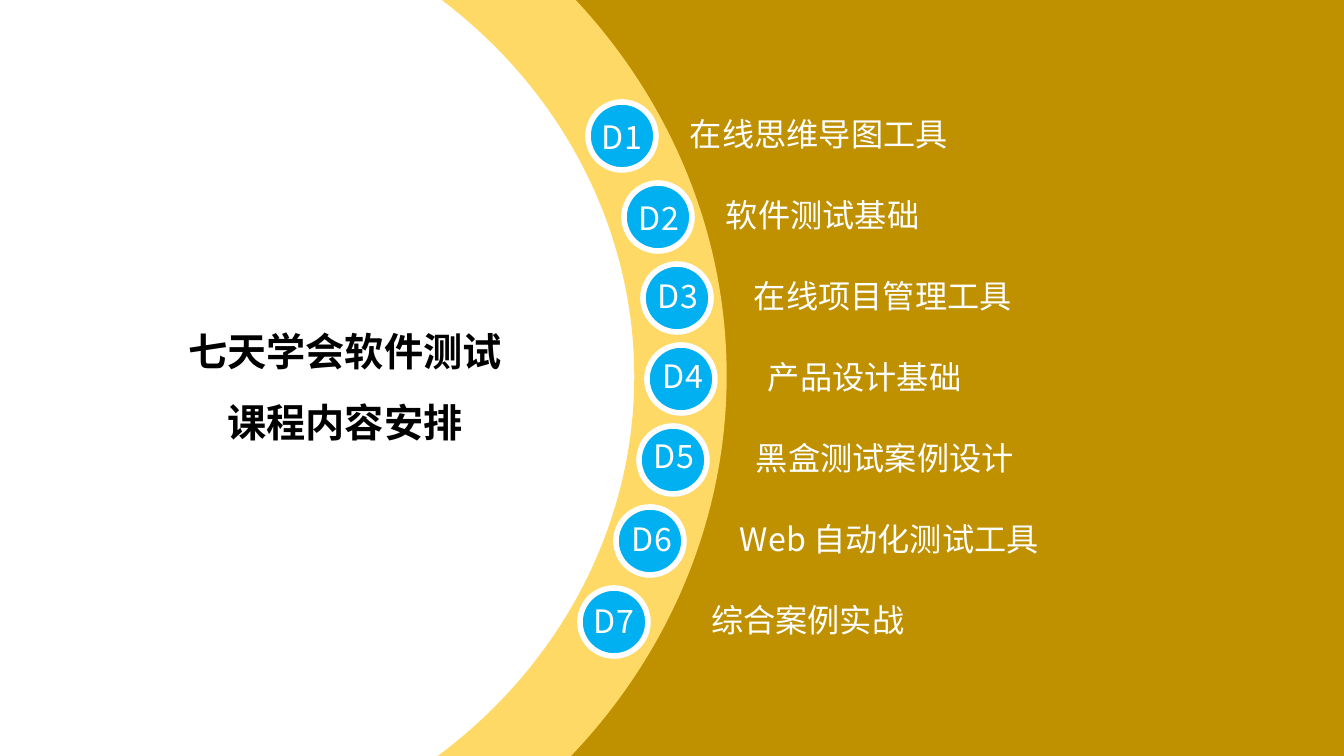
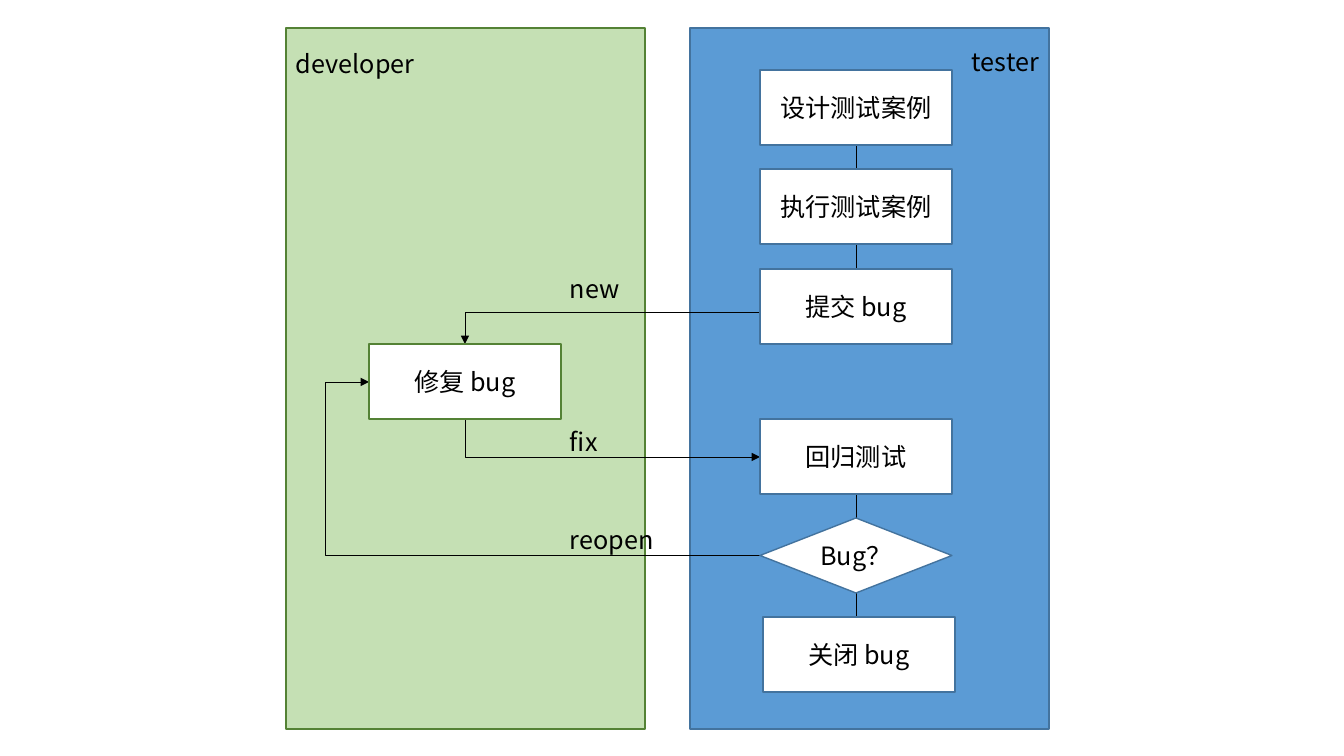
from lxml import etree
from pptx import Presentation
from pptx.dml.color import RGBColor
from pptx.enum.shapes import MSO_CONNECTOR, MSO_SHAPE
from pptx.enum.text import MSO_ANCHOR, PP_ALIGN
from pptx.oxml.ns import qn
from pptx.util import Pt

PX = 9072  # EMU in one px
FONT = "Noto Sans CJK SC"
OVAL, RECT, GEM = MSO_SHAPE.OVAL, MSO_SHAPE.RECTANGLE, MSO_SHAPE.DIAMOND
LINE, BENT = MSO_CONNECTOR.STRAIGHT, MSO_CONNECTOR.ELBOW
LEFT, MID, RIGHT = PP_ALIGN.LEFT, PP_ALIGN.CENTER, PP_ALIGN.RIGHT
TOP, CORE = MSO_ANCHOR.TOP, MSO_ANCHOR.MIDDLE
GOLD, SAND, CYAN = "BF9000", "FFD966", "00B0F0"
GREEN, MOSS, BLUE, NAVY = "C5E0B4", "548235", "5B9BD5", "43739E"
WHITE, BLACK = "FFFFFF", "000000"
hue = RGBColor.from_string


def put(slide, kind, box, fill, edge=None, width=1):
    """Add a preset shape; box is left, top, width, height in px."""
    shape = slide.shapes.add_shape(kind, *[n * PX for n in box])
    shape.shadow.inherit = False
    shape.fill.solid()
    shape.fill.fore_color.rgb = hue(fill)
    if edge:
        shape.line.color.rgb = hue(edge)
        shape.line.width = Pt(width)
    else:
        shape.line.fill.background()
    return shape


def write(shape, lines, size, tone, align=LEFT, anchor=CORE, space=1.0,
          pad=(10, 5, 10, 5), bold=False):
    """Fill a shape with one paragraph for each line."""
    frame = shape.text_frame
    frame.word_wrap = True
    frame.vertical_anchor = anchor
    frame.margin_left, frame.margin_top, frame.margin_right, frame.margin_bottom = [
        n * PX for n in pad]
    for i, line in enumerate(lines):
        para = frame.add_paragraph() if i else frame.paragraphs[0]
        para.alignment = align
        para.line_spacing = space
        para.space_before = Pt(0)
        run = para.add_run()
        run.text = line
        run.font.size = Pt(size)
        run.font.bold = bold
        run.font.color.rgb = hue(tone)
        run.font.name = FONT
        etree.SubElement(run.font._element, qn("a:ea"), typeface=FONT)


deck = Presentation()
deck.slide_width, deck.slide_height = 1344 * PX, 756 * PX
pages = []
for layout, back in ((5, GOLD), (6, WHITE)):
    page = deck.slides.add_slide(deck.slide_layouts[layout])
    page.background.fill.solid()
    page.background.fill.fore_color.rgb = hue(back)
    pages.append(page)
plan, flow = pages

# Course plan: topic, bar left and width, disc left, label left and top
days = [
    ("在线思维导图工具", 647, 616, 588, 602, 115),
    ("软件测试基础", 683, 568, 624, 639, 196),
    ("在线项目管理工具", 711, 540, 643, 658, 274),
    ("产品设计基础", 725, 532, 647, 663, 354),
    ("黑盒测试案例设计", 713, 540, 639, 654, 434),
    ("Web 自动化测试工具", 697, 568, 616, 632, 517),
    ("综合案例实战", 668, 616, 580, 594, 599),
]
STEP = 81
for i, (topic, left, wide, *_) in enumerate(days):
    bar = put(plan, RECT, (left, 109 + i * STEP, wide, 54), GOLD)
    write(bar, [topic], 23, WHITE, space=0.9, pad=(43, 6, 6, 6))

# Arc with day discs
put(plan, OVAL, (-513, -198, 1239, 1147), SAND, SAND)
put(plan, OVAL, (-418, -111, 1053, 975), WHITE, SAND)
for i, (_, _, _, disc, left, top) in enumerate(days):
    put(plan, OVAL, (disc, 102 + i * STEP, 68, 68), CYAN, WHITE, 4)
    label = plan.shapes.add_textbox(left * PX, top * PX, 45 * PX, 48 * PX)
    write(label, [f"D{i + 1}"], 23, WHITE, space=0.9, pad=(0, 0, 0, 0))

# Title, brought in front of the arc
title = plan.shapes.title
title.left, title.top, title.width, title.height = [
    n * PX for n in (170, 299, 350, 152)]
write(title, ["七天学会软件测试", "课程内容安排"], 28, BLACK, MID, TOP, 1.5,
      (0, 5, 0, 5), True)
plan.shapes._spTree.append(title._element)

# Bug flow: lanes
put(flow, RECT, (286, 28, 359, 701), GREEN, MOSS)
put(flow, RECT, (690, 28, 359, 701), BLUE, NAVY)

# Connectors: kind, preset, start, end, arrow end, bend
links = [
    (LINE, "line", (856, 72), (856, 312), None, None),
    (LINE, "line", (856, 473), (856, 651), None, None),
    (BENT, "bentConnector2", (760, 312), (465, 344), "tailEnd", None),
    (BENT, "bentConnector2", (760, 457), (465, 419), "headEnd", None),
    (BENT, "bentConnector3", (760, 555), (369, 382), "tailEnd", 111200),
]
for kind, preset, start, end, arrow, bend in links:
    link = flow.shapes.add_connector(kind, *[n * PX for n in start + end])
    link.line.color.rgb = hue(BLACK)
    link.line.width = Pt(0.5)
    props = link._element.spPr
    shape = props.find(qn("a:prstGeom"))
    shape.set("prst", preset)
    if bend:
        etree.SubElement(shape.find(qn("a:avLst")), qn("a:gd"),
                         name="adj1", fmla=f"val {bend}")
    if arrow:
        etree.SubElement(props.find(qn("a:ln")), qn(f"a:{arrow}"), type="triangle")
    etree.SubElement(props, qn("a:effectLst"))

# Steps
steps = [
    ("修复 bug", RECT, 369, 344, MOSS),
    ("设计测试案例", RECT, 760, 70, NAVY),
    ("执行测试案例", RECT, 760, 169, NAVY),
    ("提交 bug", RECT, 760, 269, NAVY),
    ("回归测试", RECT, 760, 419, NAVY),
    ("Bug？", GEM, 760, 518, NAVY),
    ("关闭 bug", RECT, 763, 617, NAVY),
]
for text, kind, left, top, edge in steps:
    step = put(flow, kind, (left, top, 192, 75), WHITE, edge)
    write(step, [text], 18, BLACK, MID)

# Lane names and link labels
notes = [
    ("developer", 286, 28, 169, LEFT),
    ("tester", 919, 26, 130, RIGHT),
    ("new", 560, 253, 130, LEFT),
    ("fix", 560, 406, 130, LEFT),
    ("reopen", 560, 504, 130, LEFT),
]
for text, left, top, wide, align in notes:
    note = flow.shapes.add_textbox(left * PX, top * PX, wide * PX, 50 * PX)
    write(note, [text], 18, BLACK, align, TOP, 1.5)

deck.save("out.pptx")
